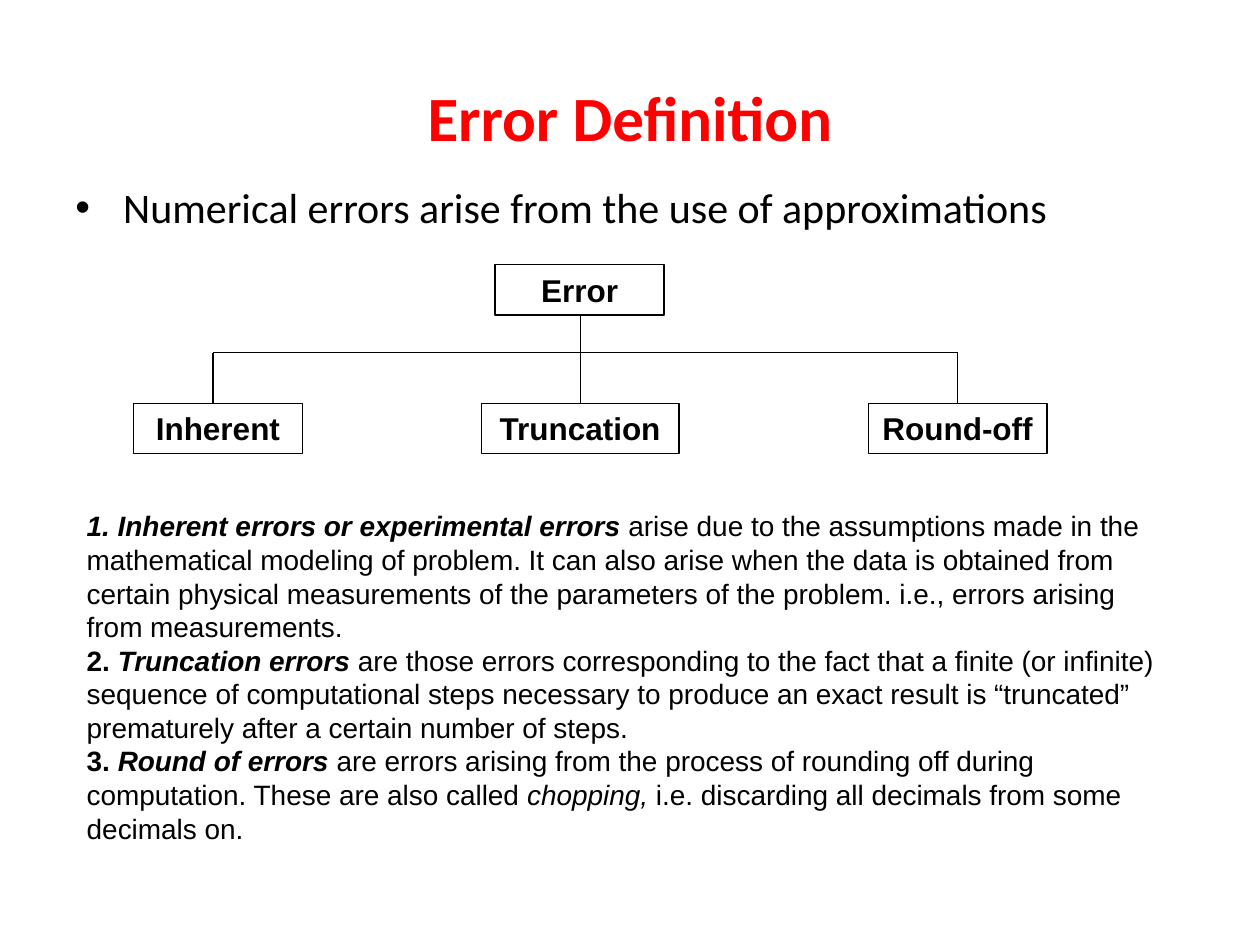
from lxml import etree
from pptx import Presentation
from pptx.dml.color import RGBColor
from pptx.enum import shapes, text
from pptx.oxml.ns import qn
from pptx.util import Inches, Pt

COLORS = {"title": "FF0000", "ink": "000000"}
TITLE = "Error Definition"
BULLET = "Numerical errors arise from the use of approximations"

# label, left, width, x of its connecting line
ROOT = ("Error", 3.93, 1.34, 4.61)
KINDS = [
    ("Inherent", 1.06, 1.34, 1.69),
    ("Truncation", 3.82, 1.57, 4.61),
    ("Round-off", 6.89, 1.42, 7.6),
]
ROOT_TOP, BRANCH_Y, KINDS_TOP, BOX_HEIGHT = 2.1, 2.8, 3.2, 0.4

# Each line is a list of (text, style); style letters: b bold, i italic
DEFINITIONS = [
    [("1. Inherent errors or experimental errors ", "bi"),
     ("arise due to the assumptions made in the", "")],
    [("mathematical modeling of problem. It can also arise when the data is obtained from", "")],
    [("certain physical measurements of the parameters of the problem. i.e., errors arising", "")],
    [("from measurements.", "")],
    [("2. ", "b"), ("Truncation errors ", "bi"),
     ("are those errors corresponding to the fact that a finite (or infinite)", "")],
    [("sequence of computational steps necessary to produce an exact result is “truncated”", "")],
    [("prematurely after a certain number of steps.", "")],
    [("3. ", "b"), ("Round of errors ", "bi"),
     ("are errors arising from the process of rounding off during", "")],
    [("computation. These are also called ", ""), ("chopping, ", "i"),
     ("i.e. discarding all decimals from some", "")],
    [("decimals on.", "")],
]


def color(name):
    return RGBColor.from_string(COLORS[name])


def set_font(paragraph, name, size, ink="ink", bold=None):
    font = paragraph.font
    font.name, font.size, font.bold = name, Pt(size), bold
    font.color.rgb = color(ink)


def add_text_frame(slide, left, top, width, height):
    frame = slide.shapes.add_textbox(*map(Inches, (left, top, width, height))).text_frame
    frame.word_wrap = True
    return frame


def add_title(slide):
    title = slide.shapes.title
    title.left, title.top, title.width, title.height = map(Inches, (0.5, 0.3, 9, 1.25))
    title.text_frame.text = TITLE
    title.text_frame.vertical_anchor = text.MSO_ANCHOR.MIDDLE
    heading = title.text_frame.paragraphs[0]
    heading.alignment = text.PP_ALIGN.CENTER
    set_font(heading, "Calibri", 36, "title", True)


def add_bullet(slide):
    statement = add_text_frame(slide, 0.5, 1.39, 9, 0.55).paragraphs[0]
    statement.text = BULLET
    properties = statement._p.get_or_add_pPr()
    properties.set("marL", str(Inches(0.38)))
    properties.set("indent", str(-Inches(0.38)))
    etree.SubElement(properties, qn("a:buFont"), typeface="Arial")
    etree.SubElement(properties, qn("a:buChar"), char="•")
    set_font(statement, "Calibri", 24)


def add_box(slide, label, left, top, width):
    box = slide.shapes.add_shape(
        shapes.MSO_SHAPE.RECTANGLE, *map(Inches, (left, top, width, BOX_HEIGHT)))
    box.shadow.inherit = False
    box.fill.background()
    box.line.color.rgb = color("ink")
    box.line.width = Pt(0.75)
    frame = box.text_frame
    frame.word_wrap = True
    frame.vertical_anchor = text.MSO_ANCHOR.TOP
    frame.text = label
    frame.paragraphs[0].alignment = text.PP_ALIGN.CENTER
    set_font(frame.paragraphs[0], "Arial", 18, bold=True)


def add_line(slide, x1, y1, x2, y2):
    line = slide.shapes.add_connector(
        shapes.MSO_CONNECTOR.STRAIGHT, *map(Inches, (x1, y1, x2, y2)))
    line.line.color.rgb = color("ink")
    line.line.width = Pt(0.75)
    etree.SubElement(line._element.spPr, qn("a:effectLst"))


def add_error_tree(slide):
    label, left, width, root_x = ROOT
    add_box(slide, label, left, ROOT_TOP, width)
    add_line(slide, root_x, ROOT_TOP + BOX_HEIGHT, root_x, BRANCH_Y)
    add_line(slide, KINDS[0][3], BRANCH_Y, KINDS[-1][3], BRANCH_Y)
    for label, left, width, x in KINDS:
        add_box(slide, label, left, KINDS_TOP, width)
        add_line(slide, x, BRANCH_Y, x, KINDS_TOP)


def add_definitions(slide):
    frame = add_text_frame(slide, 0.59, 3.99, 9.06, 2.77)
    for index, line in enumerate(DEFINITIONS):
        paragraph = frame.add_paragraph() if index else frame.paragraphs[0]
        set_font(paragraph, "Arial", 16)
        for wording, style in line:
            run = paragraph.add_run()
            run.text = wording
            if "b" in style:
                run.font.bold = True
            if "i" in style:
                run.font.italic = True


def main():
    deck = Presentation()
    deck.slide_width, deck.slide_height = Inches(10), Inches(7.5)
    slide = deck.slides.add_slide(deck.slide_layouts.get_by_name("Title Only"))
    add_title(slide)
    add_bullet(slide)
    add_error_tree(slide)
    add_definitions(slide)
    deck.save("out.pptx")


if __name__ == "__main__":
    main()
